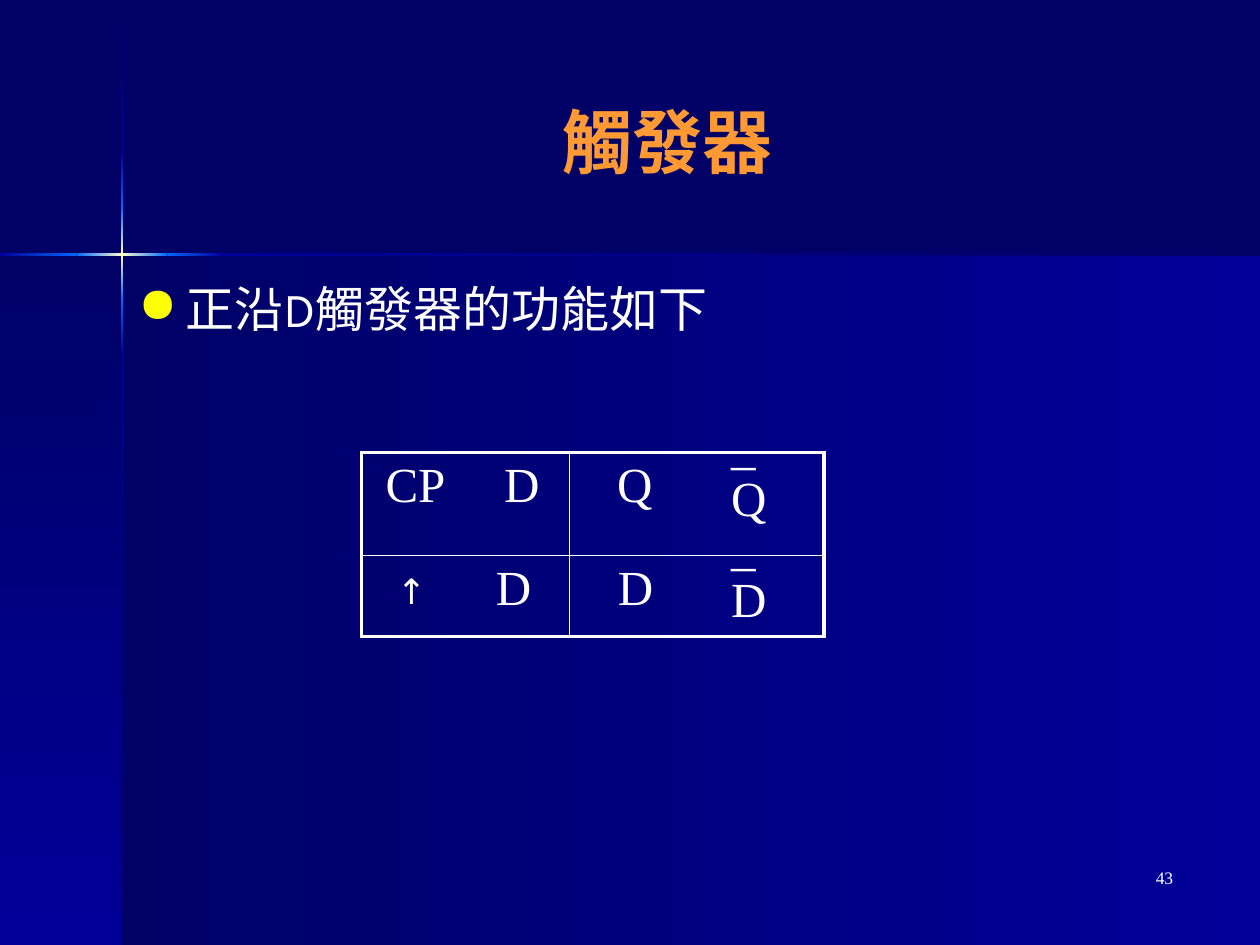
from copy import deepcopy
from itertools import pairwise

from lxml import etree
from pptx import Presentation
from pptx.dml.color import RGBColor
from pptx.enum import lang, shapes, text
from pptx.oxml.ns import qn
from pptx.util import Cm, Pt

NIGHT, NAVY, AZURE, GLOW = "000066", "000099", "0066FF", "FFFFCC"
WHITE, ORANGE, YELLOW = "FFFFFF", "FF9933", "FFFF00"
SANS, SERIF = "Karla", "Times New Roman"
WIDTH, HEIGHT = 25.4, 19.05
CROSS_X, CROSS_Y, BEAM = 2.46, 5.13, 0.05
THICK, THIN = 2.25, 1


def rgb(value):
    return RGBColor.from_string(value)


def place(item, box):
    item.left, item.top, item.width, item.height = map(Cm, box)


def sub(parent, tag, **attributes):
    return etree.SubElement(parent, qn(tag), {k: str(v) for k, v in attributes.items()})


def write(frame, *lines, size=28, font=SERIF, color=WHITE, bold=False, align=None,
          anchor=text.MSO_ANCHOR.TOP, spacing=(), tabs=(), bullet=None):
    """Fill a text frame, one paragraph per line; spacing is in points, tabs in cm."""
    frame.word_wrap = True
    frame.vertical_anchor = anchor
    for i, line in enumerate(lines):
        paragraph = frame.paragraphs[0] if i == 0 else frame.add_paragraph()
        paragraph.alignment = align
        if spacing:
            paragraph.line_spacing = Pt(spacing[i])
        properties = paragraph._p.get_or_add_pPr()
        if bullet:
            properties.set("marL", str(Cm(0.95)))
            properties.set("indent", str(-Cm(0.95)))
            sub(sub(properties, "a:buClr"), "a:srgbClr", val=YELLOW)
            sub(properties, "a:buChar", char=bullet)
        if tabs:
            stops = sub(properties, "a:tabLst")
            for stop in tabs:
                sub(stops, "a:tab", pos=Cm(stop), algn="l")
        run = paragraph.add_run()
        run.text = line
        run.font.size, run.font.name, run.font.bold = Pt(size), font, bold
        run.font.color.rgb = rgb(color)
        run.font.language_id = lang.MSO_LANGUAGE_ID.TRADITIONAL_CHINESE
        sub(run._r.get_or_add_rPr(), "a:ea", typeface=font)


def add_text(slide, box, *lines, **style):
    write(slide.shapes.add_textbox(*map(Cm, box)).text_frame, *lines, **style)


def add_gradient(slide, box, colors, downward):
    panel = slide.shapes.add_shape(shapes.MSO_SHAPE.RECTANGLE, *map(Cm, box))
    panel.shadow.inherit = False
    panel.line.fill.background()
    panel.fill.gradient()
    panel.fill.gradient_angle = 270 if downward else 0
    stop_list = panel._element.spPr.find(".//" + qn("a:gsLst"))
    while len(stop_list) < len(colors):
        stop_list.append(deepcopy(stop_list[0]))
    for i, (stop, color) in enumerate(zip(panel.fill.gradient_stops, colors)):
        stop.position = i / (len(colors) - 1)
        stop.color.rgb = rgb(color)


def add_backdrop(slide):
    """Two shaded panels and a cross of light where they meet."""
    slide.background.fill.solid()
    slide.background.fill.fore_color.rgb = rgb(NIGHT)
    depth = HEIGHT - CROSS_Y
    add_gradient(slide, (CROSS_X, CROSS_Y, WIDTH - CROSS_X, depth), (NIGHT, NAVY), False)
    add_gradient(slide, (0, CROSS_Y, CROSS_X, depth), (NIGHT, NAVY), True)

    beam_colors = [(NIGHT, NAVY), (NAVY, AZURE), (AZURE, GLOW, AZURE),
                   (AZURE, NAVY), (NAVY, NIGHT)]
    rows = pairwise((0.03, 3.07, 4.19, 6.05, 7.16, HEIGHT))
    for (start, end), colors in zip(rows, beam_colors):
        box = (CROSS_X - BEAM / 2, start, BEAM, end - start)
        add_gradient(slide, box, colors, True)
    columns = pairwise((0, 1.54, 3.38, 4.5, WIDTH))
    for (start, end), colors in zip(columns, beam_colors[1:]):
        box = (start, CROSS_Y - BEAM / 2, end - start, BEAM)
        add_gradient(slide, box, colors, False)


def set_borders(cell, **widths):
    properties = cell._tc.get_or_add_tcPr()
    for side in "LRTB":
        line = sub(properties, f"a:ln{side}", w=Pt(widths[side]))
        sub(sub(line, "a:solidFill"), "a:srgbClr", val=WHITE)


def add_truth_table(slide, box):
    left, top, width, height = box
    entries = [[("\tCP\tD", (0.23, 2.62)), ("\tQ", (0.7,))],
               [("\tD", (2.45,)), ("\tD", (0.72,))]]
    table = slide.shapes.add_table(2, 2, *map(Cm, box)).table
    table.first_row = table.horz_banding = False
    for column, share in zip(table.columns, (0.45, 0.55)):
        column.width = Cm(width * share)
    for row, share in zip(table.rows, (0.56, 0.44)):
        row.height = Cm(height * share)
    for r, row in enumerate(entries):
        for c, (entry, tabs) in enumerate(row):
            cell = table.cell(r, c)
            set_borders(cell, L=THIN if c else THICK, R=THICK if c else THIN,
                        T=THIN if r else THICK, B=THICK if r else THIN)
            cell.fill.background()
            write(cell.text_frame, entry, tabs=tabs)

    inverse_left = left + 7.2
    add_text(slide, (inverse_left, top - 0.74, 1.7, 2.39), "_", "Q", spacing=(30, 30))
    add_text(slide, (inverse_left, top + 1.47, 1.7, 2.21), "_", "D", spacing=(25, 30))
    add_text(slide, (left + 0.46, top + 2.23, 1.04, 1.27), "↑", size=20, font=SANS)


def add_flip_flop_slide(deck):
    slide = deck.slides.add_slide(deck.slide_layouts[5])
    add_backdrop(slide)
    title = slide.shapes.title
    place(title, (2.97, 0.84, 20.96, 3.99))
    write(title.text_frame, "觸發器", size=40, font=SANS, color=ORANGE, bold=True,
          align=text.PP_ALIGN.CENTER, anchor=text.MSO_ANCHOR.MIDDLE)
    add_text(slide, (2.54, 5.49, 16.76, 11.43), "正沿D觸發器的功能如下",
             font=SANS, bullet="●")
    add_truth_table(slide, (7.29, 9.12, 9.32, 3.71))
    add_text(slide, (18.62, 17.35, 5.28, 1.27), "43", size=10, align=text.PP_ALIGN.RIGHT)


def main():
    deck = Presentation()
    deck.slide_width, deck.slide_height = Cm(WIDTH), Cm(HEIGHT)
    add_flip_flop_slide(deck)
    deck.save("out.pptx")


if __name__ == "__main__":
    main()
